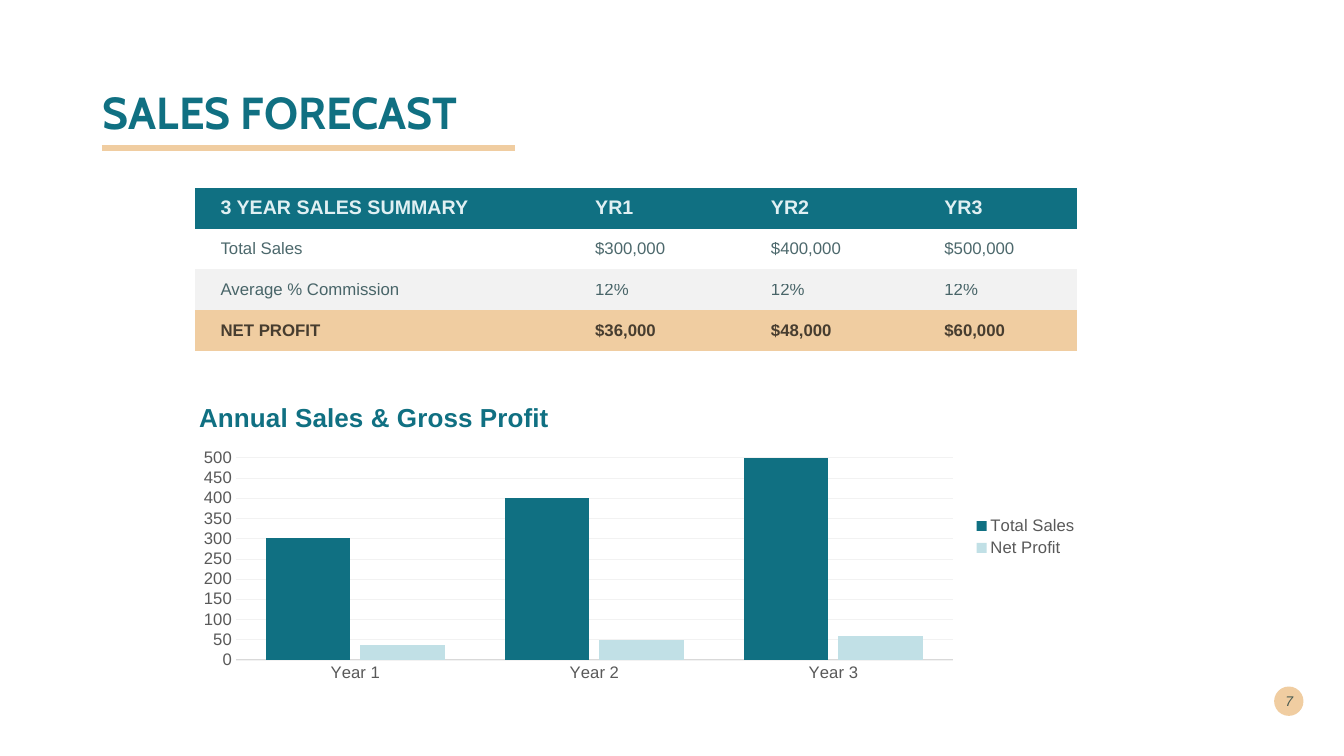
import pptx
import pptx.chart.data
import pptx.dml.color
import pptx.enum.chart
import pptx.enum.shapes
import pptx.enum.text
import pptx.oxml
import pptx.oxml.ns
import pptx.util
from lxml import etree

Cm, Pt = pptx.util.Cm, pptx.util.Pt
qn = pptx.oxml.ns.qn
ALIGN, ANCHOR = pptx.enum.text.PP_ALIGN, pptx.enum.text.MSO_ANCHOR
NO_STYLE = "{2D5ABB26-0587-4C30-8999-92F81FD0307C}"

TEAL, PALE, SAND, GREY = "107082", "C1E0E6", "F0CDA1", "F2F2F2"
INK, BLACK, LABEL = "00292E", "000000", "595959"


def rgb(value):
    return pptx.dml.color.RGBColor.from_string(value)


class Deck:
    """Slide style and the current slide."""

    def __init__(self, prs, font="Arial"):
        self.font = font
        self.s = prs.slides.add_slide(prs.slide_layouts[5])

    def style(self, font, size, color, bold=False, italic=False, name=None):
        font.name, font.size = name or self.font, Pt(size)
        font.bold, font.italic = bold, italic
        font.color.rgb = rgb(color)

    def fade(self, p, percent):
        for clr in p._p.iter(qn("a:srgbClr")):
            etree.SubElement(clr, qn("a:alpha")).set("val", str(percent * 1000))

    def title(self, text, x, y, w, h):
        sp = self.s.shapes.title
        sp.left, sp.top, sp.width, sp.height = Cm(x), Cm(y), Cm(w), Cm(h)
        tf = sp.text_frame
        tf.text = text
        tf.auto_size = pptx.enum.text.MSO_AUTO_SIZE.NONE
        tf.vertical_anchor = ANCHOR.MIDDLE
        p = tf.paragraphs[0]
        p.alignment, p.line_spacing = ALIGN.LEFT, 0.9
        self.style(p.font, 32, TEAL, bold=True, name="Cabin")

    def rule(self, x, y, w, color, weight):
        line = self.s.shapes.add_connector(
            pptx.enum.shapes.MSO_CONNECTOR.STRAIGHT, Cm(x), Cm(y), Cm(x + w), Cm(y))
        line.line.color.rgb = rgb(color)
        line.line.width = Pt(weight)
        etree.SubElement(line._element.spPr, qn("a:effectLst"))

    def dot(self, x, y, d, color):
        sp = self.s.shapes.add_shape(
            pptx.enum.shapes.MSO_SHAPE.OVAL, Cm(x), Cm(y), Cm(d), Cm(d))
        sp.shadow.inherit = False
        sp.fill.solid()
        sp.fill.fore_color.rgb = rgb(color)
        sp.line.fill.background()

    def text(self, text, x, y, w, h):
        tf = self.s.shapes.add_textbox(Cm(x), Cm(y), Cm(w), Cm(h)).text_frame
        tf.word_wrap, tf.vertical_anchor = True, ANCHOR.MIDDLE
        tf.text = text
        p = tf.paragraphs[0]
        p.alignment = ALIGN.RIGHT
        self.style(p.font, 10, INK, italic=True)
        self.fade(p, 70)

    def table(self, rows, looks, x, y, widths, row_h, indents):
        """Each look is fill, text colour, opacity, size, bold, space before."""
        table = self.s.shapes.add_table(
            len(rows), len(widths), Cm(x), Cm(y), Cm(sum(widths)), Cm(row_h * len(rows))).table
        table._tbl.tblPr.find(qn("a:tableStyleId")).text = NO_STYLE
        table.first_row = table.horz_banding = False
        for column, width in zip(table.columns, widths):
            column.width = Cm(width)
        for row, values, look in zip(table.rows, rows, looks):
            row.height = Cm(row_h)
            fill, color, opacity, size, bold, before = look
            for cell, value, indent in zip(row.cells, values, indents):
                cell.margin_left = cell.margin_right = cell.margin_top = cell.margin_bottom = 0
                cell.vertical_anchor = ANCHOR.MIDDLE
                if fill:
                    cell.fill.solid()
                    cell.fill.fore_color.rgb = rgb(fill)
                else:
                    cell.fill.background()
                cell.text = value
                p = cell.text_frame.paragraphs[0]
                p.space_before = Pt(before)
                p._p.get_or_add_pPr().set("marL", str(Cm(indent)))
                self.style(p.font, size, color, bold)
                if opacity < 100:
                    self.fade(p, opacity)

    def layout(self, parent, **place):
        """Place a chart part by fractions of the chart area."""
        old = parent.find(qn("c:layout"))
        if old is not None:
            parent.remove(old)
        layout = etree.Element(qn("c:layout"))
        manual = etree.SubElement(layout, qn("c:manualLayout"))
        if "w" in place:
            etree.SubElement(manual, qn("c:layoutTarget")).set("val", "inner")
        for key in "xy":
            etree.SubElement(manual, qn(f"c:{key}Mode")).set("val", "edge")
        for key, value in place.items():
            etree.SubElement(manual, qn(f"c:{key}")).set("val", str(value))
        tx = parent.find(qn("c:tx"))
        parent.insert(0 if tx is None else 1, layout)

    def columns(self, title, cats, series, x, y, w, h):
        data = pptx.chart.data.CategoryChartData()
        data.categories = cats
        for name, values, _ in series:
            data.add_series(name, values)
        chart = self.s.shapes.add_chart(
            pptx.enum.chart.XL_CHART_TYPE.COLUMN_CLUSTERED,
            Cm(x), Cm(y), Cm(w), Cm(h), data).chart
        self.style(chart.font, 11.9, LABEL)

        # Chart title
        tf = chart.chart_title.text_frame
        tf.text = title
        self.style(tf.paragraphs[0].font, 18.6, TEAL, bold=True)
        chart.chart_title.include_in_layout = False
        self.layout(chart.chart_title._element, x=0.01, y=0.03)

        # Columns
        plot = chart.plots[0]
        plot.gap_width, plot.overlap, plot.vary_by_categories = 72, -12, False
        for bar, (_, _, color) in zip(plot.series, series):
            bar.format.fill.solid()
            bar.format.fill.fore_color.rgb = rgb(color)
        self.layout(chart._chartSpace.chart.plotArea, x=0.056, y=0.237, w=0.794, h=0.671)

        # Axes and legend
        for axis in (chart.category_axis, chart.value_axis):
            axis.major_tick_mark = axis.minor_tick_mark = pptx.enum.chart.XL_TICK_MARK.NONE
            self.style(axis.tick_labels.font, 11.9, LABEL)
        chart.category_axis.format.line.color.rgb = rgb("D9D9D9")
        chart.category_axis.format.line.width = Pt(0.75)
        values = chart.value_axis
        values.minimum_scale, values.maximum_scale, values.major_unit = 0, 500, 50
        values.format.line.fill.background()
        values.major_gridlines.format.line.color.rgb = rgb(GREY)
        values.major_gridlines.format.line.width = Pt(0.25)
        chart.has_legend = True
        chart.legend.position = pptx.enum.chart.XL_LEGEND_POSITION.RIGHT
        chart.legend.include_in_layout = False
        self.style(chart.legend.font, 11.9, LABEL)


def main():
    prs = pptx.Presentation()
    prs.slide_width, prs.slide_height = Cm(33.87), Cm(19.05)
    deck = Deck(prs)

    # Heading
    deck.title("SALES FORECAST", 2.34, 1.02, 29.21, 3.76)
    deck.rule(2.57, 3.74, 10.4, SAND, 4.32)

    # Sales summary
    rows = [
        ("3 YEAR SALES SUMMARY", "YR1", "YR2", "YR3"),
        ("Total Sales", "$300,000", "$400,000", "$500,000"),
        ("Average % Commission", "12%", "12%", "12%"),
        ("NET PROFIT", "$36,000", "$48,000", "$60,000"),
    ]
    looks = [
        (TEAL, "E0F0F3", 100, 14, True, 7.8),
        (None, INK, 70, 12, False, 4.2),
        (GREY, INK, 70, 12, False, 3.7),
        (SAND, BLACK, 70, 12, True, 3.7),
    ]
    deck.table(rows, looks, 4.92, 4.73, [9.12] + [4.37] * 3, 1.03, [0.64, 0.96, 1.02, 1.02])

    # Sales chart
    deck.columns(
        "Annual Sales & Gross Profit", ["Year 1", "Year 2", "Year 3"],
        [("Total Sales", (300, 400, 500), TEAL), ("Net Profit", (36, 48, 60), PALE)],
        4.67, 9.73, 22.76, 7.6)

    # Page number
    deck.dot(32.11, 17.3, 0.74, SAND)
    deck.text("7", 31.85, 17.15, 0.99, 1.02)

    prs.save("out.pptx")


if __name__ == "__main__":
    main()
